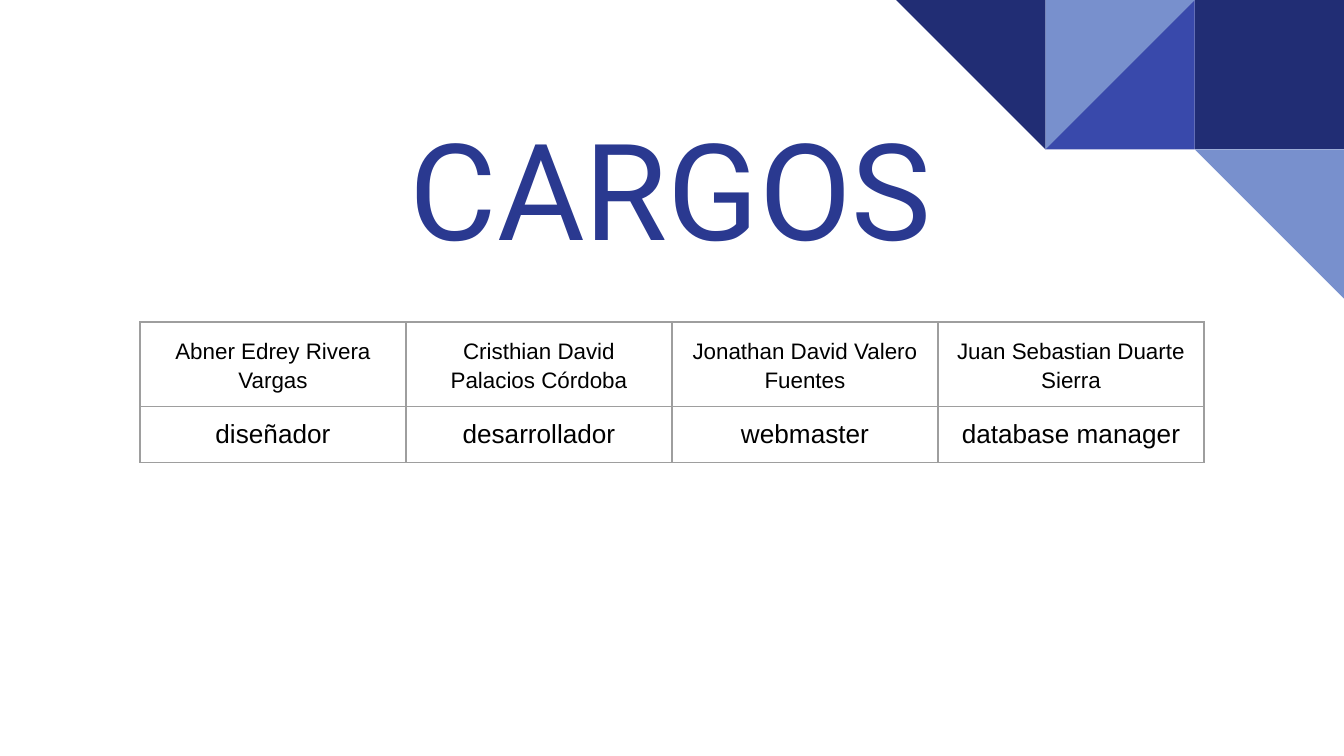
from pptx import Presentation
from pptx.dml.color import RGBColor as RGB
from pptx.enum.shapes import MSO_SHAPE as Shape
from pptx.enum.text import MSO_ANCHOR as Anchor, MSO_AUTO_SIZE as Fit, PP_ALIGN as Align
from pptx.oxml import parse_xml
from pptx.oxml.ns import nsdecls
from pptx.util import Pt

NAVY = RGB(0x21, 0x2D, 0x74)
BLUE = RGB(0x39, 0x49, 0xAB)
SKY = RGB(0x78, 0x90, 0xCD)
INK = RGB(0x2A, 0x39, 0x90)
BLACK = RGB(0, 0, 0)
GRAY = RGB(0x9E, 0x9E, 0x9E)
PAD = Pt(7.2)

# Column, row, shape, rotation and colour of each tile
TILES = [
    (2, 0, Shape.RECTANGLE, 0, NAVY),
    (1, 0, Shape.RIGHT_TRIANGLE, 270, BLUE),
    (1, 0, Shape.RIGHT_TRIANGLE, 90, SKY),
    (0, 0, Shape.RIGHT_TRIANGLE, 180, NAVY),
    (2, 1, Shape.RIGHT_TRIANGLE, 180, SKY),
]

ROLES = [
    ("Abner Edrey Rivera Vargas", "diseñador"),
    ("Cristhian David Palacios Córdoba", "desarrollador"),
    ("Jonathan David Valero Fuentes", "webmaster"),
    ("Juan Sebastian Duarte Sierra", "database manager"),
]


def write(frame, text, size, font="Arial", color=BLACK, align=Align.CENTER, space=1.0):
    para = frame.paragraphs[0]
    para.alignment = align
    para.line_spacing = space
    run = para.add_run()
    run.text = text
    run.font.size = Pt(size)
    run.font.name = font
    run.font.color.rgb = color


def pad(item):
    item.margin_left = item.margin_right = PAD
    item.margin_top = item.margin_bottom = PAD


def add_tiles(slide, left, top, side):
    for col, row, kind, turn, color in TILES:
        tile = slide.shapes.add_shape(
            kind, Pt(left + col * side), Pt(top + row * side), Pt(side), Pt(side))
        tile.rotation = turn
        tile.shadow.inherit = False
        tile.fill.solid()
        tile.fill.fore_color.rgb = color
        tile.line.fill.background()


def add_title(slide, left, top, width, height):
    title = slide.shapes.title
    title.left, title.top = Pt(left), Pt(top)
    title.width, title.height = Pt(width), Pt(height)
    frame = title.text_frame
    frame.auto_size = Fit.NONE
    frame.word_wrap = True
    frame.vertical_anchor = Anchor.MIDDLE
    pad(frame)
    write(frame, "CARGOS", 72, font="Roboto", color=INK, align=Align.LEFT)


def add_edges(cell):
    props = cell._tc.get_or_add_tcPr()
    # Borders must come before the fill
    for place, side in enumerate(("lnL", "lnR", "lnT", "lnB")):
        props.insert(place, parse_xml(
            f'<a:{side} {nsdecls("a")} w="{Pt(0.75)}"><a:solidFill>'
            f'<a:srgbClr val="{GRAY}"/></a:solidFill></a:{side}>'))


def add_roles(slide, left, top, width, heights):
    table = slide.shapes.add_table(
        len(heights), len(ROLES), Pt(left), Pt(top), Pt(width), Pt(sum(heights))).table
    table.first_row = table.horz_banding = False
    for row, height in zip(table.rows, heights):
        row.height = Pt(height)
    for c, pair in enumerate(ROLES):
        table.columns[c].width = Pt(width / len(ROLES))
        for r, (text, size, space) in enumerate(zip(pair, (12, 14), (1.15, 1.0))):
            cell = table.cell(r, c)
            cell.fill.background()
            pad(cell)
            add_edges(cell)
            write(cell.text_frame, text, size, space=space)


def main():
    deck = Presentation()
    deck.slide_width, deck.slide_height = Pt(720), Pt(405)
    slide = deck.slides.add_slide(deck.slide_layouts[5])
    # Corner pattern
    add_tiles(slide, 480, 0, 80)
    # Names and roles
    add_roles(slide, 75, 172.5, 570, (45, 30))
    # Heading
    add_title(slide, 212.4, 46.8, 295.2, 106.6)
    deck.save("out.pptx")


if __name__ == "__main__":
    main()
